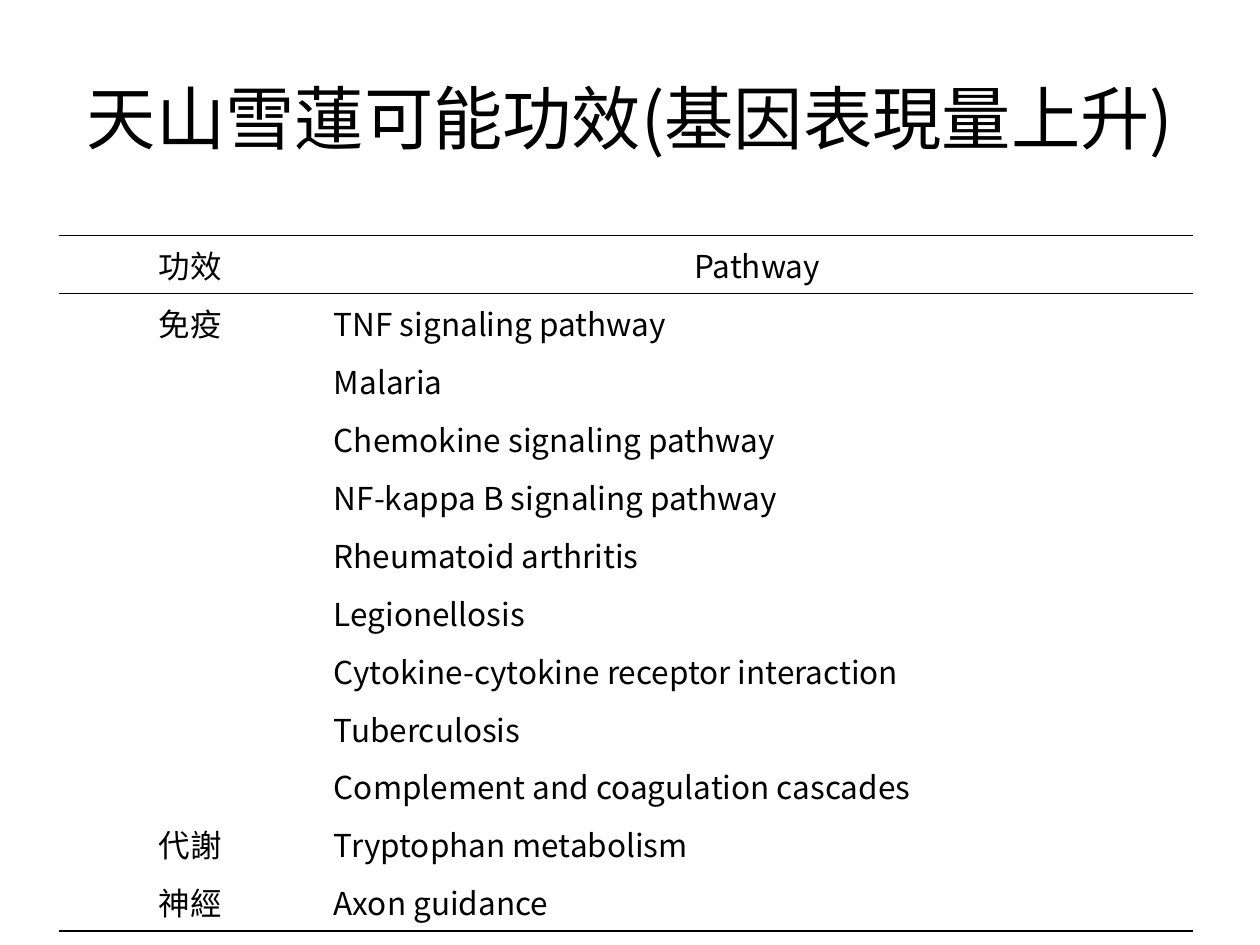
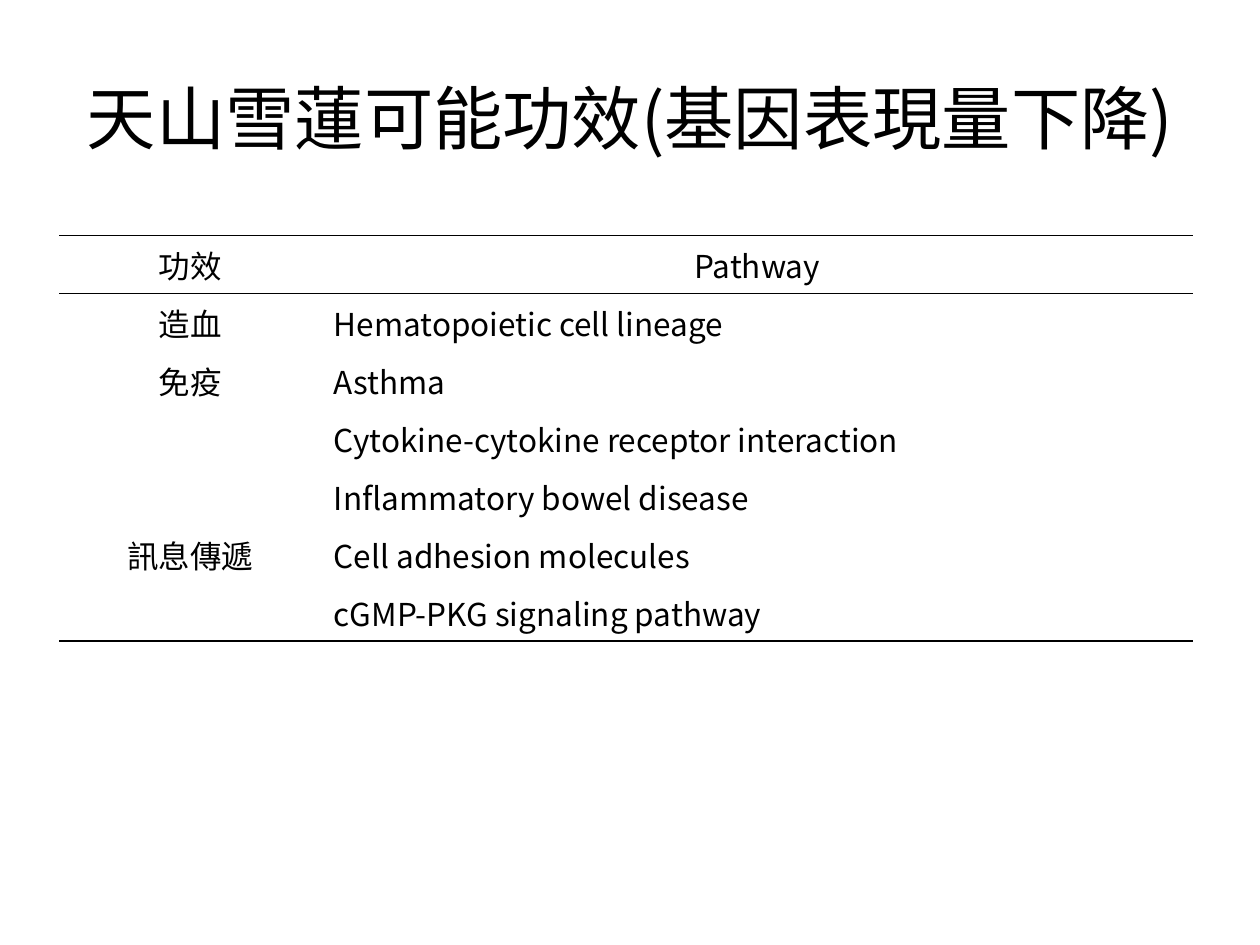
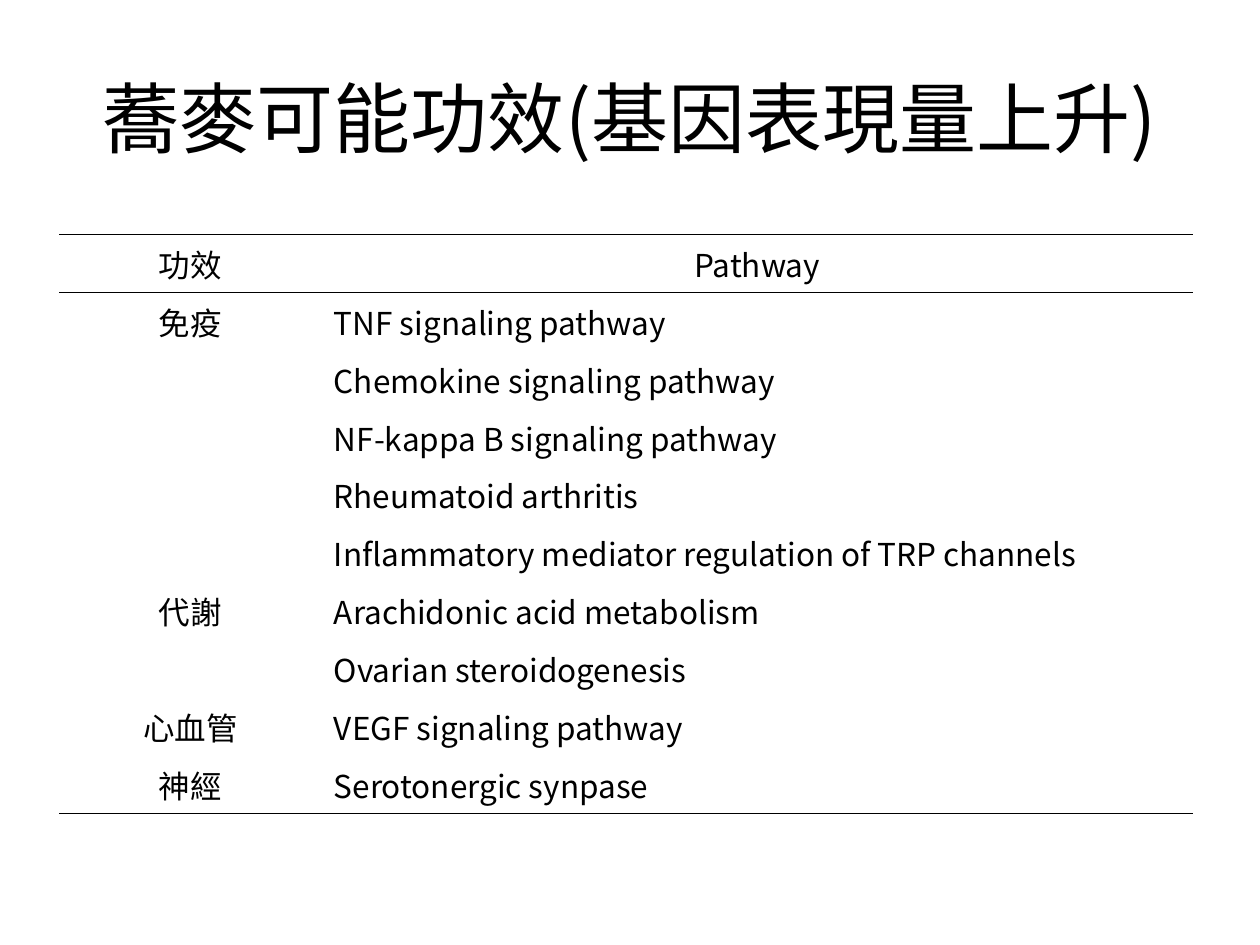
from lxml import etree
from pptx import Presentation
from pptx.dml.color import RGBColor
from pptx.enum.text import MSO_ANCHOR, PP_ALIGN
from pptx.oxml.ns import qn
from pptx.util import Inches, Pt

CENTER, LEFT = PP_ALIGN.CENTER, PP_ALIGN.LEFT
MIDDLE = MSO_ANCHOR.MIDDLE

COLORS = {"text": "000000", "rule": "000000"}
FONT = "Noto Sans CJK SC"
NO_STYLE_NO_GRID = "{2D5ABB26-0587-4C30-8999-92F81FD0307C}"
COLUMN_WIDTHS = (2.08, 6.92)
ROW_HEIGHT = 0.4625
HEADER = ("功效", "Pathway")

# Title, title size, table top, and pathways grouped by effect
SLIDES = [
    ("天山雪蓮可能功效(基因表現量上升)", 39.6, 1.87, [
        ("免疫", ["TNF signaling pathway", "Malaria",
                "Chemokine signaling pathway",
                "NF-kappa B signaling pathway",
                "Rheumatoid arthritis", "Legionellosis",
                "Cytokine-cytokine receptor interaction",
                "Tuberculosis", "Complement and coagulation cascades"]),
        ("代謝", ["Tryptophan metabolism"]),
        ("神經", ["Axon guidance"]),
    ]),
    ("天山雪蓮可能功效(基因表現量下降)", 39.6, 1.87, [
        ("造血", ["Hematopoietic cell lineage"]),
        ("免疫", ["Asthma", "Cytokine-cytokine receptor interaction",
                "Inflammatory bowel disease"]),
        ("訊息傳遞", ["Cell adhesion molecules", "cGMP-PKG signaling pathway"]),
    ]),
    ("蕎麥可能功效(基因表現量上升)", 44, 1.86, [
        ("免疫", ["TNF signaling pathway", "Chemokine signaling pathway",
                "NF-kappa B signaling pathway", "Rheumatoid arthritis",
                "Inflammatory mediator regulation of TRP channels"]),
        ("代謝", ["Arachidonic acid metabolism", "Ovarian steroidogenesis"]),
        ("心血管", ["VEGF signaling pathway"]),
        ("神經", ["Serotonergic synpase"]),
    ]),
]
ROW_HEIGHT = round(ROW_HEIGHT, 2)


def write(frame, text, size, align):
    paragraph = frame.paragraphs[0]
    paragraph.text = text
    paragraph.alignment = align
    font = paragraph.font
    font.size = Pt(size)
    font.name = FONT
    font.color.rgb = RGBColor.from_string(COLORS["text"])
    # The East Asian typeface follows the Latin one
    properties = paragraph._p.pPr.find(qn("a:defRPr"))
    east_asian = etree.Element(qn("a:ea"), typeface=FONT)
    properties.find(qn("a:latin")).addnext(east_asian)


def add_rules(cell, sides):
    properties = cell._tc.get_or_add_tcPr()
    for position, side in enumerate(sides):
        line = etree.Element(qn("a:ln" + side), w=str(Pt(1)))
        fill = etree.SubElement(line, qn("a:solidFill"))
        etree.SubElement(fill, qn("a:srgbClr"), val=COLORS["rule"])
        properties.insert(position, line)


prs = Presentation()
prs.slide_width = Inches(10)
prs.slide_height = Inches(7.5)

for title, title_size, table_top, effects in SLIDES:
    slide = prs.slides.add_slide(prs.slide_layouts[6])

    # Title
    title_box = slide.shapes.add_textbox(
        Inches(0.5), Inches(0.3), Inches(9), Inches(1.25))
    title_box.text_frame.word_wrap = True
    title_box.text_frame.vertical_anchor = MIDDLE
    write(title_box.text_frame, title, title_size, CENTER)

    # Each effect is named only beside its first pathway
    rows = [HEADER]
    for effect, pathways in effects:
        for index, pathway in enumerate(pathways):
            rows.append(("" if index else effect, pathway))

    # Pathway table
    table = slide.shapes.add_table(
        len(rows), 2, Inches(0.47), Inches(table_top),
        Inches(sum(COLUMN_WIDTHS)), Inches(ROW_HEIGHT * len(rows))).table
    table.first_row = table.horz_banding = False
    table._tbl.tblPr.find(qn("a:tableStyleId")).text = NO_STYLE_NO_GRID
    for column, width in zip(table.columns, COLUMN_WIDTHS):
        column.width = Inches(width)

    # Rules above and below the header, and under the last row
    row_sides = ["TB"] + [""] * (len(rows) - 2) + ["B"]
    for r, (row, sides) in enumerate(zip(rows, row_sides)):
        table.rows[r].height = Inches(ROW_HEIGHT)
        for c, text in enumerate(row):
            cell = table.cell(r, c)
            cell.vertical_anchor = MIDDLE
            cell.fill.background()
            write(cell.text_frame, text, 18, CENTER if r == 0 or c == 0 else LEFT)
            add_rules(cell, sides)

prs.save("out.pptx")
